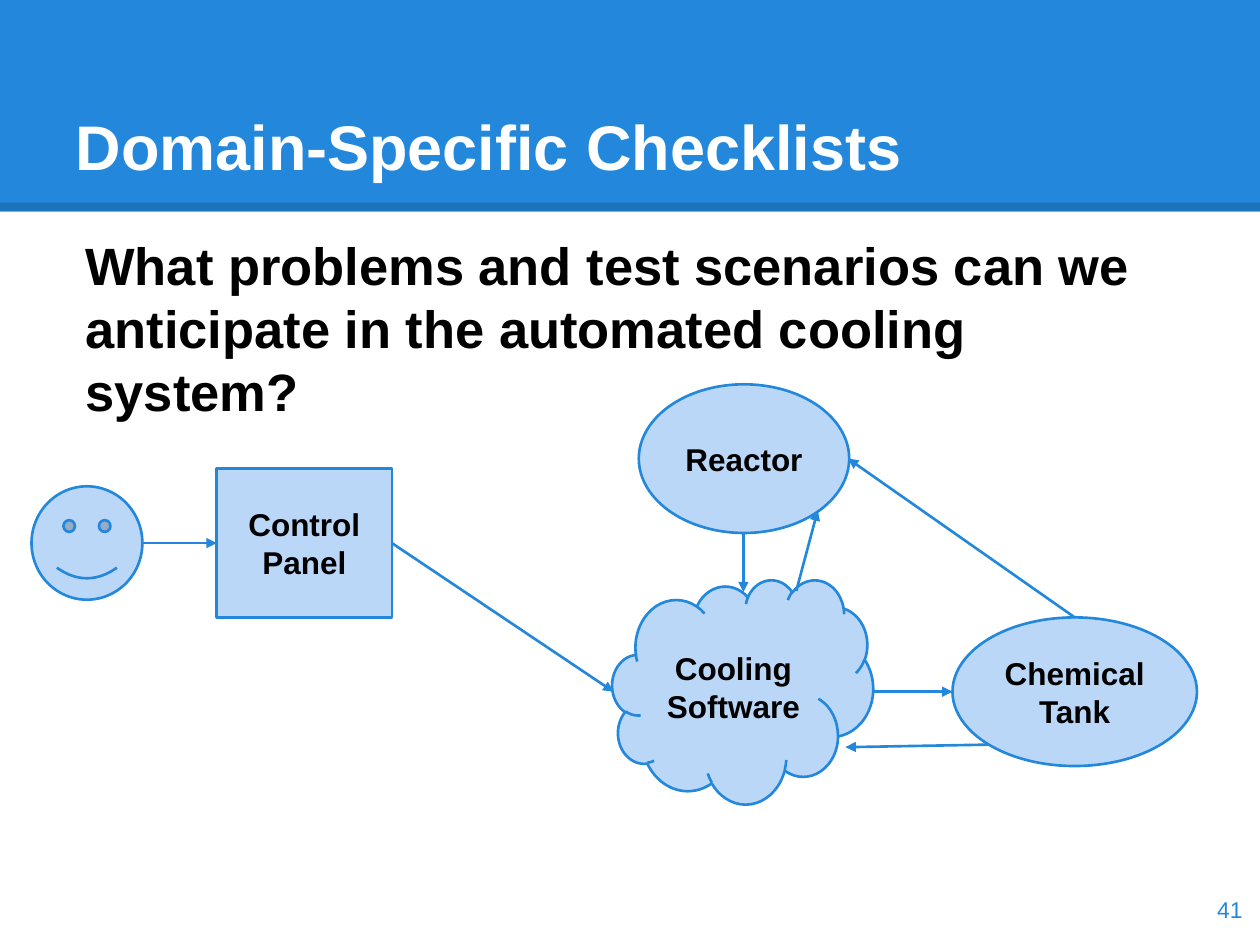
from dataclasses import dataclass

import pptx
import pptx.dml.color
import pptx.enum.shapes
import pptx.enum.text
import pptx.oxml
import pptx.oxml.ns
import pptx.util
from lxml import etree

Inches = pptx.util.Inches
Pt = pptx.util.Pt
Shape = pptx.enum.shapes.MSO_SHAPE
Align = pptx.enum.text.PP_ALIGN
Anchor = pptx.enum.text.MSO_ANCHOR
qn = pptx.oxml.ns.qn

BLUE, PALE, BLACK, WHITE = "2388DB", "BBD7F8", "000000", "FFFFFF"


@dataclass
class Node:
    kind: Shape
    left: float
    top: float
    width: float
    height: float
    label: str = ""


@dataclass
class Arrow:
    start: tuple[float, float]
    end: tuple[float, float]


NODES = [
    Node(Shape.RECTANGLE, 1.72, 3.72, 1.39, 1.18, "Control Panel"),
    Node(Shape.SMILEY_FACE, 0.25, 3.86, 0.88, 0.9),
    Node(Shape.CLOUD, 4.86, 4.6, 2.07, 1.78, "Cooling Software"),
    Node(Shape.OVAL, 5.07, 3.05, 1.67, 1.18, "Reactor"),
    Node(Shape.OVAL, 7.56, 4.9, 1.94, 1.18, "Chemical Tank"),
]

ARROWS = [
    Arrow((1.12, 4.31), (1.72, 4.31)),  # operator to panel
    Arrow((6.94, 5.49), (7.56, 5.49)),  # software to tank
    Arrow((7.84, 5.91), (6.71, 5.93)),  # tank to software
    Arrow((5.9, 4.23), (5.9, 4.7)),  # reactor to software
    Arrow((8.53, 4.9), (6.73, 3.64)),  # tank to reactor
    Arrow((3.11, 4.31), (4.87, 5.49)),  # panel to software
    Arrow((6.32, 4.69), (6.49, 4.05)),  # software to reactor
]


def set_color(color_format, value: str) -> None:
    color_format.rgb = pptx.dml.color.RGBColor.from_string(value)


def write(shape, text: str, size: float, color: str, bold: bool = True,
          align=Align.LEFT, anchor=Anchor.TOP) -> None:
    frame = shape.text_frame
    frame.word_wrap = True
    frame.auto_size = pptx.enum.text.MSO_AUTO_SIZE.NONE
    frame.vertical_anchor = anchor
    frame.margin_left = frame.margin_right = Inches(0.1)
    frame.margin_top = frame.margin_bottom = Inches(0.1)
    frame.text = text
    paragraph = frame.paragraphs[0]
    paragraph.alignment = align
    font = paragraph.font
    font.name, font.size, font.bold = "Arial", Pt(size), bold
    set_color(font.color, color)


def place(shape, left: float, top: float, width: float, height: float) -> None:
    shape.left, shape.top = Inches(left), Inches(top)
    shape.width, shape.height = Inches(width), Inches(height)


def add_text(slide, left: float, top: float, width: float, height: float):
    return slide.shapes.add_textbox(Inches(left), Inches(top),
                                    Inches(width), Inches(height))


def add_node(slide, node: Node) -> None:
    shape = slide.shapes.add_shape(node.kind, Inches(node.left), Inches(node.top),
                                   Inches(node.width), Inches(node.height))
    shape.shadow.inherit = False
    shape.fill.solid()
    set_color(shape.fill.fore_color, PALE)
    set_color(shape.line.color, BLUE)
    shape.line.width = Pt(1.5)
    if node.label:
        write(shape, node.label, 18, BLACK, align=Align.CENTER, anchor=Anchor.MIDDLE)


def add_line(slide, line: Arrow, color: str, width: float):
    connector = slide.shapes.add_connector(
        pptx.enum.shapes.MSO_CONNECTOR.STRAIGHT,
        *(Inches(value) for value in line.start + line.end))
    set_color(connector.line.color, color)
    connector.line.width = Pt(width)
    etree.SubElement(connector._element.spPr, qn("a:effectLst"))
    return connector


def add_arrow(slide, arrow: Arrow) -> None:
    connector = add_line(slide, arrow, BLUE, 1.5)
    etree.SubElement(connector.line._get_or_add_ln(), qn("a:tailEnd"), type="triangle")


def add_header(slide) -> None:
    band = slide.shapes.add_shape(Shape.RECTANGLE, 0, 0, Inches(10), Inches(1.68))
    band.shadow.inherit = False
    band.fill.solid()
    set_color(band.fill.fore_color, BLUE)
    band.line.fill.background()

    # Translucent shade along the lower edge
    edge = add_line(slide, Arrow((0, 1.64), (10, 1.64)), BLACK, 4.5)
    color = edge._element.spPr.find(".//" + qn("a:srgbClr"))
    etree.SubElement(color, qn("a:alpha"), val="15000")

    # The title goes in front of the band
    title = slide.shapes.title
    slide.shapes._spTree.append(title._element)
    place(title, 0.5, 0.3, 9, 1.25)
    write(title, "Domain-Specific Checklists", 36, WHITE, anchor=Anchor.BOTTOM)


def main() -> None:
    presentation = pptx.Presentation()
    presentation.slide_width, presentation.slide_height = Inches(10), Inches(7.5)
    slide = presentation.slides.add_slide(presentation.slide_layouts[5])
    add_header(slide)

    # Question
    write(add_text(slide, 0.58, 1.75, 8.92, 5.12),
          "What problems and test scenarios can we anticipate "
          "in the automated cooling system?", 30, BLACK)

    # System diagram
    for node in NODES:
        add_node(slide, node)
    for arrow in ARROWS:
        add_arrow(slide, arrow)

    # Slide number
    write(add_text(slide, 9.36, 6.93, 0.6, 0.57), "41", 13, BLUE, bold=False,
          align=Align.RIGHT, anchor=Anchor.MIDDLE)

    presentation.save("out.pptx")


if __name__ == "__main__":
    main()
